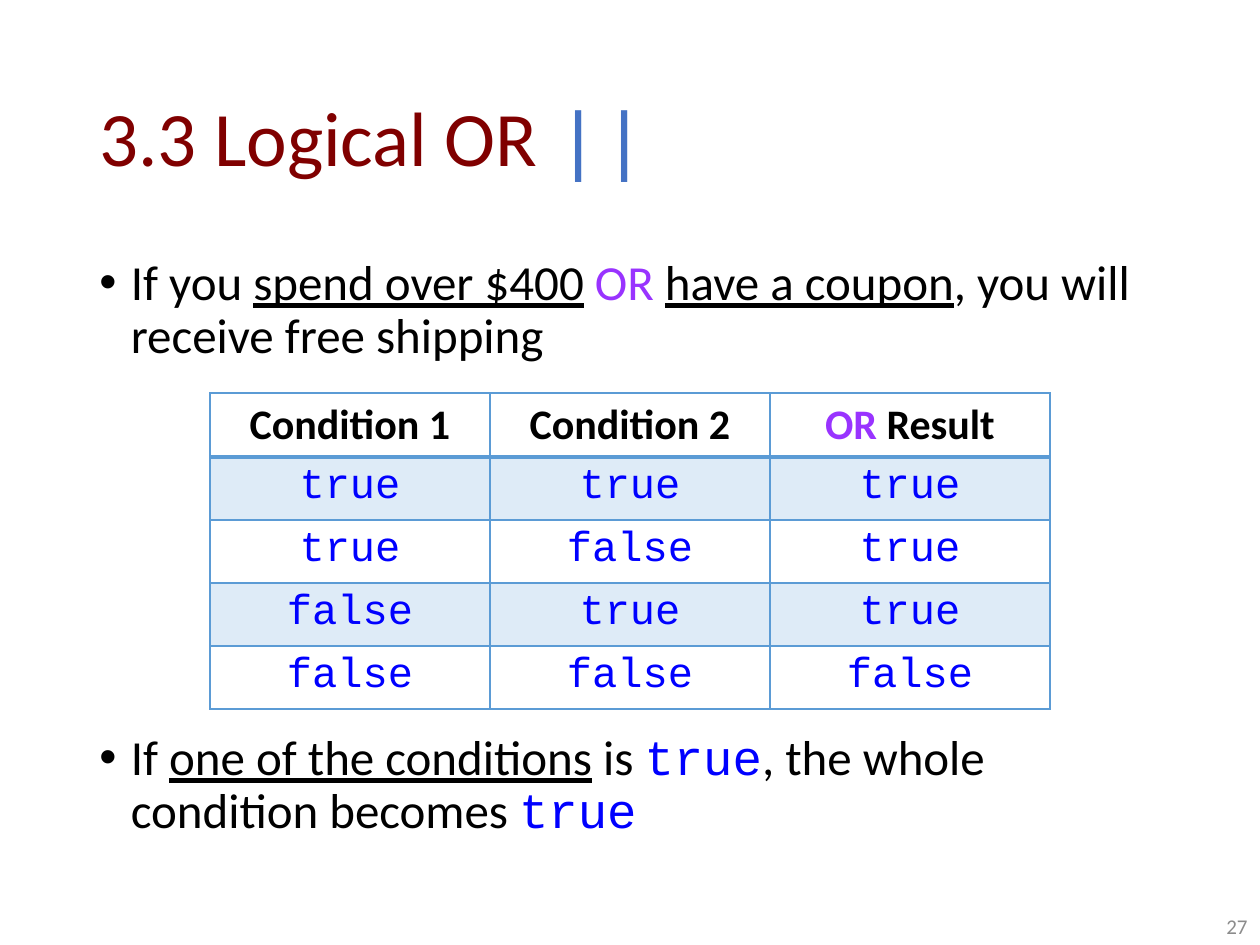
from lxml import etree
from pptx import Presentation, util as u
from pptx.dml.color import RGBColor
from pptx.enum import text
from pptx.oxml import ns

SANS, MONO = "Calibri", "Courier New"
BLACK, MAROON, PURPLE, BLUE = "000000", "800000", "9933FF", "0000FF"
ACCENT, BAND, WHITE, GREY = "5B9BD5", "DEEBF7", "FFFFFF", "8C8C8C"

# Content: a run is (text, style), where a style overrides the defaults
PLAIN = {}
UNDERLINED = {"underline": True}
OR_WORD = {"color": PURPLE}
CODE = {"font": MONO, "color": BLUE}

TITLE = [("3.3 Logical OR ", {"color": MAROON}),
         ("||", {"font": MONO, "color": "4472C4"})]
BULLETS = [
    [("If you ", PLAIN), ("spend over $400", UNDERLINED), (" ", PLAIN),
     ("OR ", OR_WORD), ("have a coupon", UNDERLINED),
     (", you will receive free shipping", PLAIN)],
    [("If ", PLAIN), ("one of the conditions", UNDERLINED), (" is ", PLAIN),
     ("true", CODE), (", the whole condition becomes ", PLAIN), ("true", CODE)],
]
HEADER = [[("Condition 1", PLAIN)], [("Condition 2", PLAIN)],
          [("OR", OR_WORD), (" Result", PLAIN)]]
INPUTS = [(True, True), (True, False), (False, True), (False, False)]
TABLE_GAP = 211  # points between the bullets, leaving room for the table


def px(n):
    return u.Emu(round(n * 914400 / 126))


def rgb(value):
    return RGBColor.from_string(value)


def add_runs(paragraph, runs, size, bold=False):
    for words, style in runs:
        run = paragraph.add_run()
        run.text = words
        font = run.font
        font.size, font.bold = u.Pt(size), bold
        font.name = style.get("font", SANS)
        font.color.rgb = rgb(style.get("color", BLACK))
        if style.get("underline"):
            font.underline = True


def add_box(slide, left, top, width, height, anchor):
    frame = slide.shapes.add_textbox(px(left), px(top), px(width), px(height)).text_frame
    frame.word_wrap = True
    frame.vertical_anchor = anchor
    return frame


def add_bullet(paragraph):
    props = paragraph._p.get_or_add_pPr()
    props.set("marL", str(u.Inches(0.25)))
    props.set("indent", str(-u.Inches(0.25)))
    etree.SubElement(props, ns.qn("a:buFont")).set("typeface", "Arial")
    etree.SubElement(props, ns.qn("a:buChar")).set("char", "•")


def add_borders(cell, widths):
    props = cell._tc.get_or_add_tcPr()
    for i, (side, width) in enumerate(widths.items()):
        line = etree.Element(ns.qn(f"a:ln{side}"), w=str(u.Pt(width)))
        fill = etree.SubElement(line, ns.qn("a:solidFill"))
        etree.SubElement(fill, ns.qn("a:srgbClr")).set("val", ACCENT)
        props.insert(i, line)


def add_truth_table(slide):
    rows = [HEADER] + [[[(str(v).lower(), CODE)] for v in (a, b, a or b)] for a, b in INPUTS]
    heights = [64] + [60] * len(INPUTS)
    table = slide.shapes.add_table(len(rows), len(HEADER), px(210), px(393),
                                   px(840), px(sum(heights))).table
    table.first_row = table.horz_banding = False
    for column in table.columns:
        column.width = px(840 // len(HEADER))
    for r, (row, height) in enumerate(zip(rows, heights)):
        table.rows[r].height = px(height)
        for c, runs in enumerate(row):
            cell = table.cell(r, c)
            cell.fill.solid()
            cell.fill.fore_color.rgb = rgb(BAND if r % 2 else WHITE)
            add_borders(cell, {"L": 1, "R": 1, "T": 2 if r == 1 else 1,
                               "B": 2 if r == 0 else 1})
            paragraph = cell.text_frame.paragraphs[0]
            paragraph.alignment = text.PP_ALIGN.CENTER
            add_runs(paragraph, runs, 24, bold=r == 0)


def main():
    prs = Presentation()
    prs.slide_width, prs.slide_height = px(1260), px(945)
    slide = prs.slides.add_slide(prs.slide_layouts[6])

    # Title
    title = add_box(slide, 87, 50, 1086, 183, text.MSO_ANCHOR.MIDDLE).paragraphs[0]
    title.line_spacing = 0.9
    add_runs(title, TITLE, 44)

    # Bullets above and below the table
    body = add_box(slide, 87, 252, 1086, 600, text.MSO_ANCHOR.TOP)
    for i, runs in enumerate(BULLETS):
        paragraph = body.add_paragraph() if i else body.paragraphs[0]
        add_bullet(paragraph)
        paragraph.line_spacing = 0.9
        paragraph.space_before = u.Pt(TABLE_GAP if i else 0)
        add_runs(paragraph, runs, 28)

    # Slide number
    number = add_box(slide, 977, 895, 283, 50, text.MSO_ANCHOR.BOTTOM).paragraphs[0]
    number.alignment = text.PP_ALIGN.RIGHT
    add_runs(number, [("27", {"color": GREY})], 12)

    add_truth_table(slide)
    prs.save("out.pptx")


if __name__ == "__main__":
    main()
